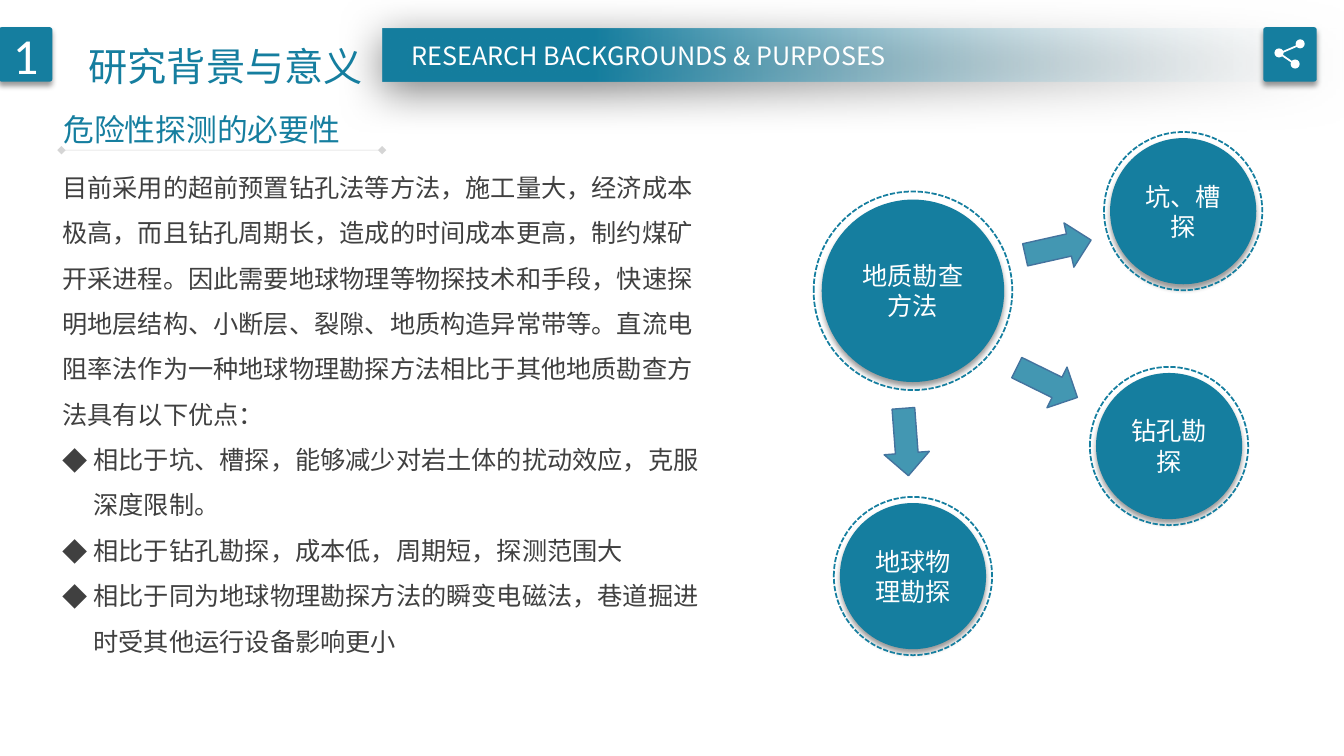
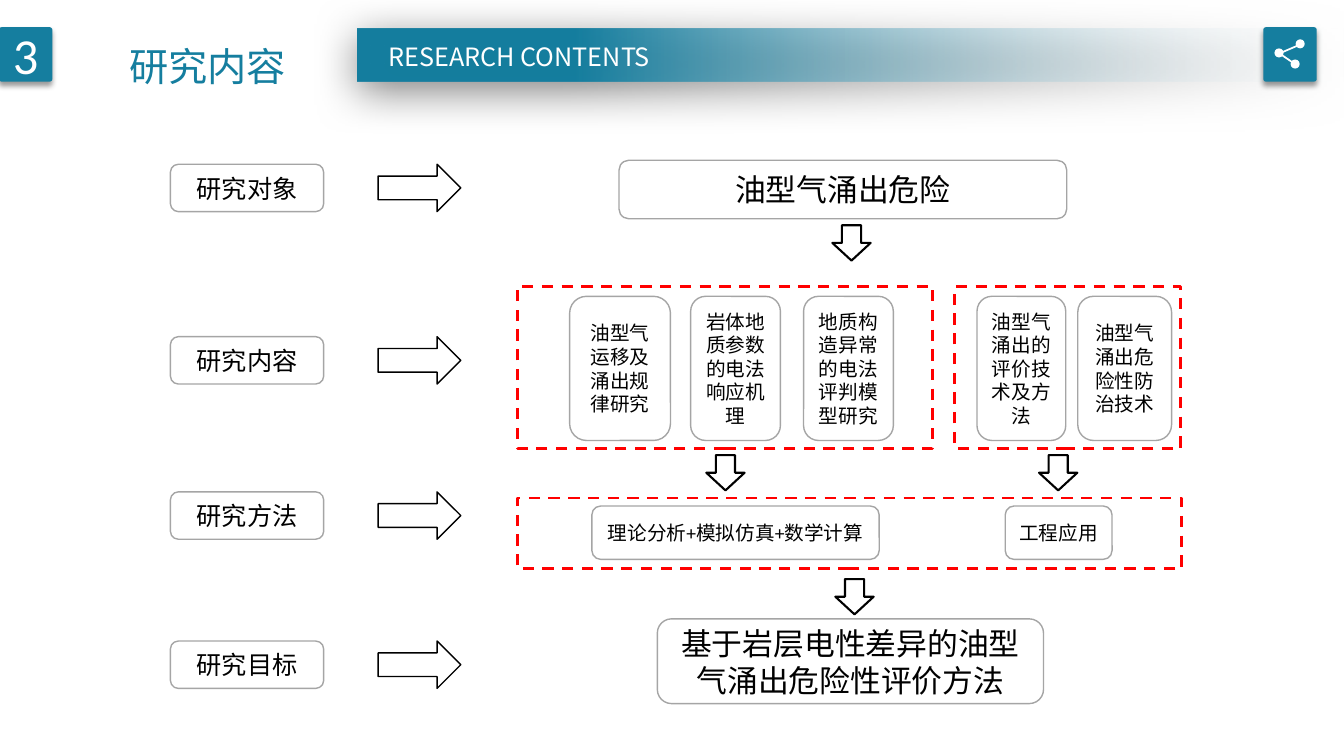
from lxml.etree import SubElement
from pptx import Presentation
from pptx.dml.color import RGBColor
from pptx.enum.dml import MSO_LINE
from pptx.enum.shapes import MSO_CONNECTOR, MSO_SHAPE
from pptx.enum.text import MSO_ANCHOR, PP_ALIGN
from pptx.oxml.ns import qn
from pptx.util import Inches, Pt

TEAL, WHITE, BLACK, GREY, RED = "157E9F", "FFFFFF", "000000", "A5A5A5", "FF0000"
SANS, LATIN = "Noto Sans CJK SC", "Calibri"
SOFT = dict(alpha=40, blur=4, dist=3, angle=90)
WIDE = dict(alpha=50, blur=31, dist=6, angle=97)


def rgb(code):
    """Turn a hex string into a colour."""
    return RGBColor.from_string(code)


def put(item, values):
    """Set each named value on an item."""
    for name, value in values.items():
        setattr(item, name, value)


def tag(host, name, **values):
    """Add a drawing element with its attributes."""
    return SubElement(host, qn("a:" + name), {k: str(v) for k, v in values.items()})


def fade(host, share):
    """Make the first colour under an element partly clear."""
    tag(next(host.iter(qn("a:srgbClr"))), "alpha", val=share * 1000)


class Deck:
    """Hold the style and the current slide."""

    def __init__(self):
        """Start an empty wide deck."""
        self.show = Presentation()
        put(self.show, dict(slide_width=Inches(13.33), slide_height=Inches(7.5)))
        self.slide = None

    def begin(self, mark, title, left, width, band, label, spot):
        """Add a slide with its header."""
        self.slide = self.show.slides.add_slide(self.show.slide_layouts[5])
        bar = self.shape("RECTANGLE", (band, 0.28, 13.33 - band, 0.53), TEAL, shade=WIDE)
        bar.fill.gradient()
        bar.fill.gradient_angle = 180
        for stop, code, point in zip(bar.fill.gradient_stops, ("F7FAFD", TEAL), (0, 0.78)):
            stop.color.rgb = rgb(code)
            stop.position = point
        fade(bar._element.spPr, 0)
        for x in (-0.01, 12.53):
            tile = self.shape("ROUNDED_RECTANGLE", (x, 0.27, 0.53, 0.54), TEAL, shade=SOFT)
            tile.adjustments[0] = 0.05
            if x < 0:
                self.label(tile, [mark], 36, WHITE, LATIN, PP_ALIGN.CENTER)
        self.icon()
        self.text(spot, [label], 18, WHITE, align=PP_ALIGN.CENTER)
        head = self.slide.shapes.title
        self.slide.shapes._spTree.append(head._element)
        self.place(head, (left, 0.14, width, 0.72))
        self.label(head, [title], 28, TEAL, space=1.5, anchor=MSO_ANCHOR.TOP)

    def place(self, item, box):
        """Move and size an item."""
        put(item, dict(zip(("left", "top", "width", "height"), map(Inches, box))))

    def icon(self):
        """Draw three joined dots."""
        hub, *ends = (12.69, 0.53), (12.9, 0.44), (12.85, 0.64)
        for end in ends:
            self.line(hub, end, WHITE, 1.25)
        for x, y in (hub, *ends):
            self.shape("OVAL", (x - 0.05, y - 0.05, 0.09, 0.09), WHITE)

    def label(self, item, lines, size, color, font=SANS, align=PP_ALIGN.LEFT,
              space=1.0, anchor=MSO_ANCHOR.MIDDLE, bullet=None):
        """Fill an item with styled paragraphs, the first without bullet."""
        frame = item.text_frame
        put(frame, dict(word_wrap=True, vertical_anchor=anchor))
        for i, words in enumerate(lines):
            para = frame.add_paragraph() if i else frame.paragraphs[0]
            put(para, dict(alignment=align, line_spacing=space))
            run = para.add_run()
            run.text = words
            put(run.font, dict(size=Pt(size), name=font))
            run.font.color.rgb = rgb(color)
            tag(run._r.get_or_add_rPr(), "ea", typeface=SANS)
            if bullet and i:
                props = para._p.get_or_add_pPr()
                props.set("marL", str(Inches(0.31)))
                props.set("indent", str(-Inches(0.31)))
                tag(props, "buFont", typeface=SANS)
                tag(props, "buChar", char=bullet)

    def text(self, box, lines, size, color, **style):
        """Add a text box."""
        item = self.slide.shapes.add_textbox(*map(Inches, box))
        self.label(item, lines, size, color, **{"anchor": MSO_ANCHOR.TOP, **style})

    def shape(self, kind, box, fill=None, line=None, width=1, dash=None,
              shade=None, turn=0, host=None):
        """Add a preset shape."""
        home = host or self.slide
        item = home.shapes.add_shape(MSO_SHAPE[kind], *map(Inches, box))
        item.rotation = turn
        item.shadow.inherit = False
        for paint, code in ((item.fill, fill), (item.line.fill, line)):
            if code:
                paint.solid()
                paint.fore_color.rgb = rgb(code)
            else:
                paint.background()
        if line:
            put(item.line, dict(width=Pt(width), dash_style=dash))
        if shade:
            effect = item._element.spPr.find(qn("a:effectLst"))
            cast = tag(effect, "outerShdw", blurRad=Pt(shade["blur"]),
                       dist=Pt(shade["dist"]), dir=shade["angle"] * 60000, rotWithShape=0)
            tag(cast, "srgbClr", val=BLACK)
            fade(cast, shade["alpha"])
        return item

    def line(self, start, end, color, width, clear=None, tip=None):
        """Add a straight line."""
        item = self.slide.shapes.add_connector(
            MSO_CONNECTOR.STRAIGHT, *map(Inches, (*start, *end)))
        item.line.width = Pt(width)
        item.line.color.rgb = rgb(color)
        props = item._element.spPr
        if clear:
            fade(props, clear)
        if tip:
            for name in ("headEnd", "tailEnd"):
                tag(props.find(qn("a:ln")), name, type=tip)
        tag(props, "effectLst")

    def disc(self, x, y, size, words, gap):
        """Add a ringed disc as a group."""
        group = self.slide.shapes.add_group_shape()
        core = self.shape("OVAL", (x, y, size, size), TEAL, shade=SOFT, host=group)
        self.label(core, [words], 18, WHITE, LATIN, PP_ALIGN.CENTER)
        wide = size + 2 * gap
        self.shape("OVAL", (x - gap, y - gap, wide, wide), None, TEAL, 1.25,
                   MSO_LINE.SQUARE_DOT, host=group)

    def arrow(self, x, y, turn):
        """Add a tinted arrow."""
        item = self.shape("RIGHT_ARROW", (x, y, 0.67, 0.45), TEAL, "43739E", turn=turn)
        fade(item._element.spPr, 80)

    def card(self, box, words, size):
        """Add a rounded card with text."""
        item = self.shape("ROUNDED_RECTANGLE", box, WHITE, GREY)
        self.label(item, [words], size, BLACK, LATIN, PP_ALIGN.CENTER)


def need(deck):
    """Build the background slide."""
    deck.begin("1", "研究背景与意义", 0.78, 2.98, 3.8,
               "RESEARCH BACKGROUNDS & PURPOSES", (3.08, 0.35, 6.71, 0.4))
    deck.text((0.53, 0.94, 3.1, 0.54), ["危险性探测的必要性"], 22, TEAL, space=1.3)
    deck.line((0.61, 1.49), (3.79, 1.49), "808080", 0.25, 33, "diamond")
    deck.text((0.52, 1.51, 6.6, 5.5), [
        "目前采用的超前预置钻孔法等方法，施工量大，经济成本极高，而且钻孔周期长，"
        "造成的时间成本更高，制约煤矿开采进程。因此需要地球物理等物探技术和手段，"
        "快速探明地层结构、小断层、裂隙、地质构造异常带等。直流电阻率法作为一种"
        "地球物理勘探方法相比于其他地质勘查方法具有以下优点：",
        "相比于坑、槽探，能够减少对岩土体的扰动效应，克服深度限制。",
        "相比于钻孔勘探，成本低，周期短，探测范围大",
        "相比于同为地球物理勘探方法的瞬变电磁法，巷道掘进时受其他运行设备影响更小",
    ], 18, "404040", space=1.5, bullet="◆")
    deck.disc(8.15, 1.98, 1.81, "地质勘查方法", 0.08)
    for x, y, words in ((11.01, 1.37, "坑、槽探"), (10.87, 3.7, "钻孔勘探"),
                        (8.33, 4.99, "地球物理勘探")):
        deck.disc(x, y, 1.45, words, 0.06)
    for spot in ((10.16, 2.23, 347.4), (10.05, 3.57, 26.2), (8.65, 4.16, 85.7)):
        deck.arrow(*spot)


def plan(deck):
    """Build the contents slide."""
    deck.begin("3", "研究内容", 1.18, 1.8, 3.55,
               "RESEARCH CONTENTS", (3.69, 0.36, 2.92, 0.4))
    for y, words in ((1.63, "研究对象"), (3.34, "研究内容"),
                     (4.88, "研究方法"), (6.36, "研究目标")):
        deck.card((1.69, y, 1.52, 0.47), words, 18)
        deck.shape("RIGHT_ARROW", (3.75, y, 0.82, 0.47), WHITE, BLACK)
    deck.card((6.14, 1.59, 4.44, 0.58), "油型气涌出危险", 22)
    for x, width, words in ((5.65, 1, "油型气运移及涌出规律研究"),
                            (6.85, 0.89, "岩体地质参数的电法响应机理"),
                            (7.97, 0.89, "地质构造异常的电法评判模型研究"),
                            (9.69, 0.88, "油型气涌出的评价技术及方法"),
                            (10.69, 0.93, "油型气涌出危险性防治技术")):
        deck.card((x, 2.94, width, 1.43), words, 14)
    for x, width, words in ((5.87, 2.85, "理论分析+模拟仿真+数学计算"),
                            (9.97, 1.06, "工程应用")):
        deck.card((x, 5.02, width, 0.53), words, 14)
    for box in ((5.13, 2.84, 4.12, 1.61), (9.47, 2.84, 2.24, 1.61),
                (5.13, 4.94, 6.59, 0.7)):
        deck.shape("RECTANGLE", box, None, RED, 2, MSO_LINE.DASH)
    for x, y in ((8.27, 2.22), (7.02, 4.5), (10.32, 4.5), (8.3, 5.73)):
        deck.shape("RIGHT_ARROW", (x, y, 0.35, 0.38), None, BLACK, 1.5, turn=90)
    deck.card((6.52, 6.14, 3.83, 0.84), "基于岩层电性差异的油型气涌出危险性评价方法", 22)


def main():
    """Build and save the deck."""
    deck = Deck()
    need(deck)
    plan(deck)
    deck.show.save("out.pptx")


if __name__ == "__main__":
    main()
